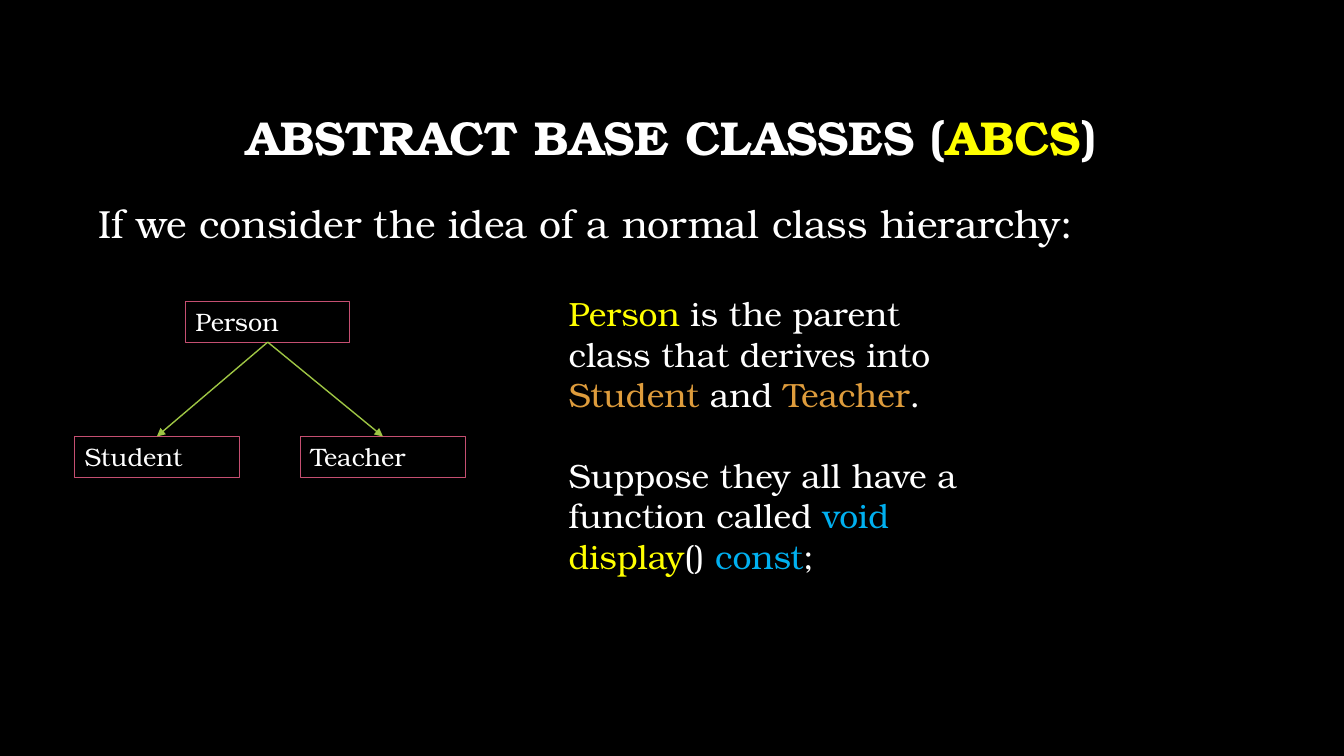
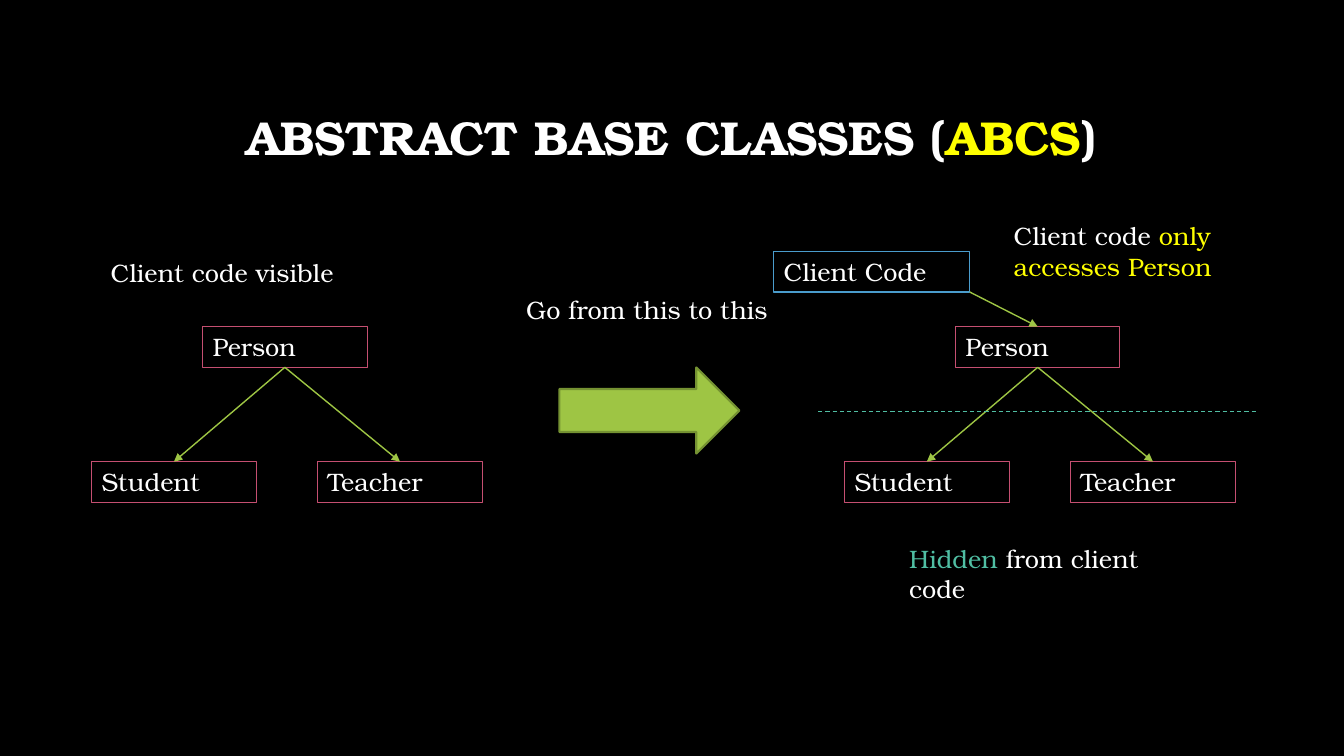
from dataclasses import dataclass

from lxml.etree import SubElement
from pptx import Presentation
from pptx.dml.color import RGBColor
from pptx.enum.dml import MSO_LINE
from pptx.enum.shapes import MSO_CONNECTOR, MSO_SHAPE
from pptx.enum.text import MSO_ANCHOR, PP_ALIGN
from pptx.oxml.ns import qn
from pptx.util import Pt


@dataclass(frozen=True)
class Theme:
    font: str = "TeX Gyre Bonum"
    back: str = "000000"
    text: str = "FFFFFF"
    yellow: str = "FFFF00"
    orange: str = "DE9C3C"
    blue: str = "00B0F0"
    teal: str = "50BEA3"
    pink: str = "C54F71"
    steel: str = "4A9CCC"
    green: str = "9EC544"
    dark_green: str = "759232"
    title_size: int = 34
    lead_size: int = 28
    body_size: int = 24
    label_size: int = 18


THEME = Theme()
BOX_W, BOX_H = 117.5, 29.1
TOP, BOTTOM = 0, 2  # connection sites of a rectangle


def rgb(value):
    return RGBColor.from_string(value)


# Text: a paragraph is a list of strings and (string, colour) pairs
def write(tf, paragraphs, size, bold=False, gap=0):
    tf.word_wrap = True
    for i, parts in enumerate(paragraphs):
        p = tf.paragraphs[0] if i == 0 else tf.add_paragraph()
        p.alignment = PP_ALIGN.LEFT
        p.space_before = Pt(gap if i else 0)
        p.font.name = THEME.font
        p.font.size = Pt(size)
        p.font.bold = bold
        p.font.color.rgb = rgb(THEME.text)
        for part in parts:
            text, color = (part, THEME.text) if isinstance(part, str) else part
            r = p.add_run()
            r.text = text
            r.font.color.rgb = rgb(color)


def add_text(slide, x, y, w, h, *paragraphs, size=THEME.label_size, **style):
    sp = slide.shapes.add_textbox(Pt(x), Pt(y), Pt(w), Pt(h))
    write(sp.text_frame, paragraphs, size, **style)
    return sp


def add_title(slide):
    parts = ["ABSTRACT BASE CLASSES (", ("ABCS", THEME.yellow), ")"]
    tf = add_text(slide, 72, 48, 815, 104.5, parts,
                  size=THEME.title_size, bold=True).text_frame
    tf.vertical_anchor = MSO_ANCHOR.MIDDLE
    tf.paragraphs[0].alignment = PP_ALIGN.CENTER
    tf.paragraphs[0].line_spacing = 0.9


# Shapes and lines
def add_shape(slide, kind, x, y, w, h, line, weight, fill=None):
    sp = slide.shapes.add_shape(kind, Pt(x), Pt(y), Pt(w), Pt(h))
    sp.shadow.inherit = False
    if fill:
        sp.fill.solid()
        sp.fill.fore_color.rgb = rgb(fill)
    else:
        sp.fill.background()
    sp.line.color.rgb = rgb(line)
    sp.line.width = Pt(weight)
    return sp


def add_box(slide, label, x, y, w=BOX_W, line=THEME.pink):
    sp = add_shape(slide, MSO_SHAPE.RECTANGLE, x, y, w, BOX_H, line, 0.75)
    sp.text_frame.vertical_anchor = MSO_ANCHOR.TOP
    write(sp.text_frame, [[label]], THEME.label_size)
    return sp


def add_line(slide, x1, y1, x2, y2, color, weight):
    cn = slide.shapes.add_connector(
        MSO_CONNECTOR.STRAIGHT, Pt(x1), Pt(y1), Pt(x2), Pt(y2))
    cn.line.color.rgb = rgb(color)
    cn.line.width = Pt(weight)
    SubElement(cn._element.spPr, qn("a:effectLst"))
    return cn


def add_arrow(slide, target, source=None, start=(0, 0)):
    cn = add_line(slide, *start, *start, THEME.green, 1)
    if source is not None:
        cn.begin_connect(source, BOTTOM)
    cn.end_connect(target, TOP)
    SubElement(cn.line._get_or_add_ln(), qn("a:tailEnd"), type="triangle")


def add_hierarchy(slide, x, y):
    """Person at (x, y) with its two derived classes below."""
    person = add_box(slide, "Person", x, y)
    for label, dx in (("Student", -79.2), ("Teacher", 82.3)):
        add_arrow(slide, add_box(slide, label, x + dx, y + 96.5), person)
    return person


# Slides
def build_idea(slide):
    add_text(slide, 63, 139, 858, 41,
             ["If we consider the idea of a normal class hierarchy:"],
             size=THEME.lead_size)
    add_hierarchy(slide, 132.5, 215.3)
    add_text(
        slide, 399, 206, 312, 211,
        [("Person", THEME.yellow), " is the parent class that derives into ",
         ("Student", THEME.orange), " and ", ("Teacher", THEME.orange), "."],
        ["Suppose they all have a function called ", ("void ", THEME.blue),
         ("display", THEME.yellow), "() ", ("const", THEME.blue), ";"],
        size=THEME.body_size, gap=29)


def build_change(slide):
    # Before
    add_text(slide, 72, 180, 223, 29, ["Client code visible"])
    add_hierarchy(slide, 144.7, 233.3)

    # Change
    add_text(slide, 368.8, 206.5, 268, 29, ["Go from this to this"])
    add_shape(slide, MSO_SHAPE.RIGHT_ARROW, 399.6, 262.5, 128.5, 61.5,
              THEME.dark_green, 1.5, THEME.green)

    # After
    person = add_hierarchy(slide, 682.5, 233.3)
    client_x, client_y, client_w = 552.7, 179.5, 140
    add_box(slide, "Client Code", client_x, client_y, client_w, THEME.steel)
    add_arrow(slide, person, start=(client_x + client_w, client_y + BOX_H))
    divider = add_line(slide, 584.5, 293.7, 897, 293.7, THEME.teal, 0.75)
    divider.line.dash_style = MSO_LINE.DASH
    add_text(slide, 717, 154, 223, 51,
             ["Client code ", ("only accesses Person", THEME.yellow)])
    add_text(slide, 642.3, 384.2, 223, 51,
             [("Hidden", THEME.teal), " from client code"])


def main():
    prs = Presentation()
    prs.slide_width, prs.slide_height = Pt(960), Pt(540)
    fill = prs.slide_master.background.fill
    fill.solid()
    fill.fore_color.rgb = rgb(THEME.back)
    for build in (build_idea, build_change):
        slide = prs.slides.add_slide(prs.slide_layouts[6])
        add_title(slide)
        build(slide)
    prs.save("out.pptx")


if __name__ == "__main__":
    main()
